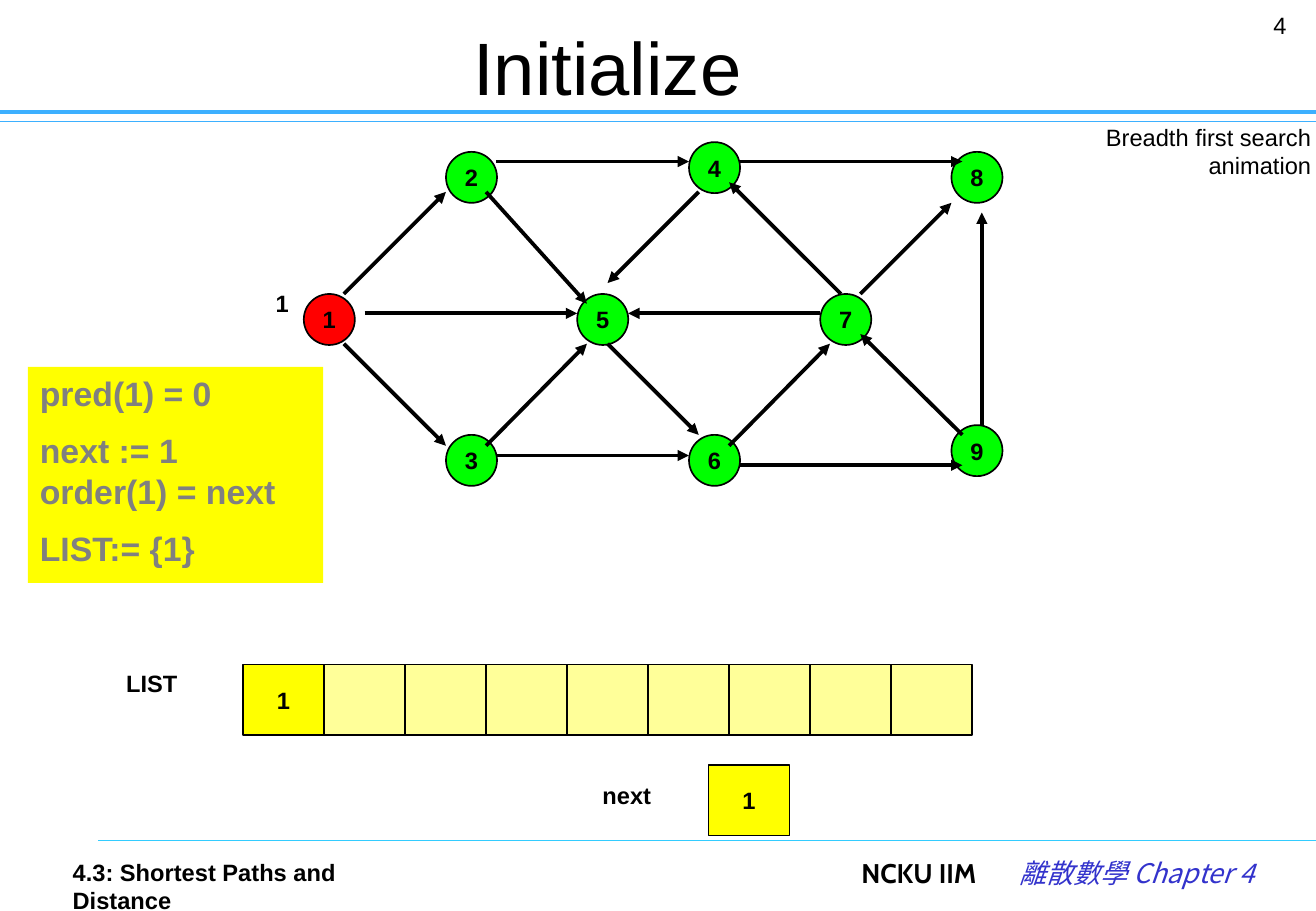
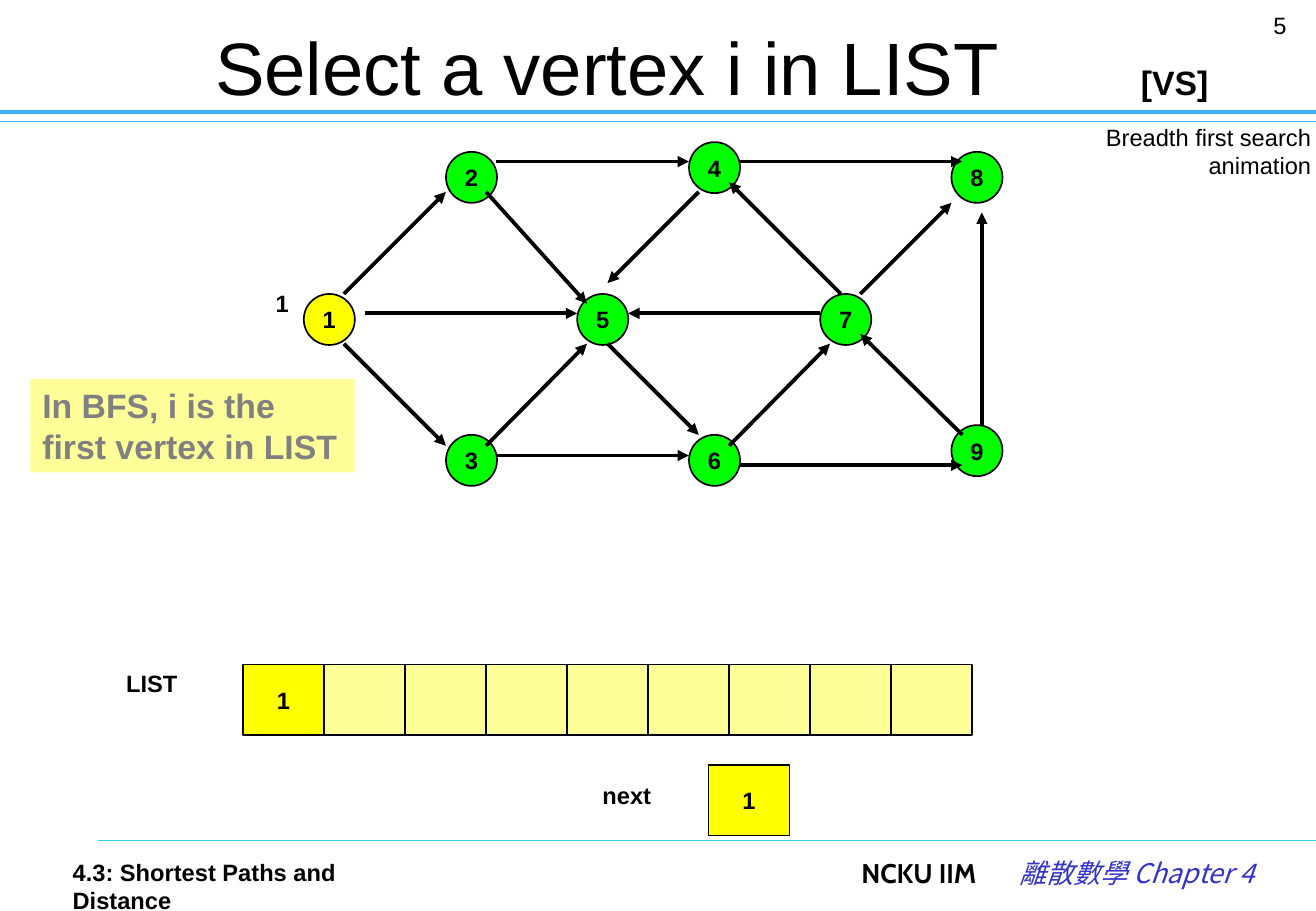
from lxml.etree import SubElement
from pptx import Presentation
from pptx.dml.color import RGBColor
from pptx.enum.shapes import MSO_CONNECTOR, MSO_SHAPE
from pptx.enum.text import MSO_ANCHOR, PP_ALIGN
from pptx.oxml.ns import qn
from pptx.util import Inches, Pt

BLACK, GRAY, YELLOW, PALE = "000000", "808080", "FFFF00", "FFFF99"
GREEN, RED, BLUE, SKY, CYAN = "00FF00", "FF0000", "3333CC", "3DB0FF", "33CCFF"
CELL_W, CELL_H, NODE_SIZE = 2 / 3, 0.58, 0.42

NODES = {
    1: (2.5, 2.42), 2: (3.67, 1.25), 3: (3.67, 3.58),
    4: (5.67, 1.17), 5: (4.75, 2.42), 6: (5.67, 3.58),
    7: (6.75, 2.42), 8: (7.83, 1.25), 9: (7.83, 3.5),
}
EDGES = [
    (2.83, 2.42, 3.67, 1.58), (2.83, 2.83, 3.67, 3.67),
    (3, 2.58, 4.75, 2.58), (4.08, 1.33, 5.67, 1.33),
    (4, 1.58, 4.83, 2.5), (4, 3.67, 4.83, 2.83),
    (4.08, 3.75, 5.67, 3.75), (5.75, 1.58, 5, 2.33),
    (6.08, 1.33, 7.92, 1.33), (5, 2.83, 5.75, 3.58),
    (6, 3.67, 6.83, 2.83), (6.08, 3.83, 7.92, 3.83),
    (6.92, 2.42, 6, 1.5), (6.75, 2.58, 5.17, 2.58),
    (7.08, 2.42, 7.83, 1.67), (7.92, 3.58, 7.08, 2.75),
    (8.08, 3.5, 8.08, 1.75),
]


def rgb(color):
    return RGBColor.from_string(color)


def write(tf, text, size=14, color=BLACK, bold=False, italic=False, font="Arial",
          align=PP_ALIGN.LEFT, anchor=MSO_ANCHOR.TOP, wrap=True, gap=0):
    tf.word_wrap = wrap
    tf.vertical_anchor = anchor
    for i, line in enumerate(text.split("\n")):
        p = tf.paragraphs[0] if i == 0 else tf.add_paragraph()
        p.text = line
        p.alignment = align
        if i:
            p.space_before = Pt(gap)
        for r in p.runs:
            r.font.size = Pt(size)
            r.font.bold = bold
            r.font.italic = italic
            r.font.name = font
            r.font.color.rgb = rgb(color)
            SubElement(r.font._element, qn("a:ea"), typeface=font)


class Deck:
    def __init__(self):
        self.prs = Presentation()
        self.prs.slide_width = Inches(10.83)
        self.prs.slide_height = Inches(7.5)
        self.s = None

    def text(self, x, y, w, h, text, **style):
        sp = self.s.shapes.add_textbox(Inches(x), Inches(y), Inches(w), Inches(h))
        write(sp.text_frame, text, **style)

    def shape(self, kind, x, y, w, h, fill, text="", line=BLACK, **style):
        sp = self.s.shapes.add_shape(kind, Inches(x), Inches(y), Inches(w), Inches(h))
        sp.shadow.inherit = False
        sp.fill.solid()
        sp.fill.fore_color.rgb = rgb(fill)
        if line:
            sp.line.color.rgb = rgb(line)
            sp.line.width = Pt(1)
        else:
            sp.line.fill.background()
        if text:
            write(sp.text_frame, text, **style)

    def label(self, kind, x, y, w, h, fill, text=""):
        self.shape(kind, x, y, w, h, fill, text, bold=True, wrap=False,
                   align=PP_ALIGN.CENTER, anchor=MSO_ANCHOR.MIDDLE)

    def line(self, x1, y1, x2, y2, color=BLACK, width=2.25, arrow=False):
        c = self.s.shapes.add_connector(
            MSO_CONNECTOR.STRAIGHT, Inches(x1), Inches(y1), Inches(x2), Inches(y2))
        c.line.color.rgb = rgb(color)
        c.line.width = Pt(width)
        if arrow:
            SubElement(c.line._get_or_add_ln(), qn("a:tailEnd"), type="triangle")
        SubElement(c._element.spPr, qn("a:effectLst"))

    def cell(self, x, y, fill, text=""):
        self.label(MSO_SHAPE.RECTANGLE, x, y, CELL_W, CELL_H, fill, text)

    def panel(self, x, y, w, h, fill, text):
        self.shape(MSO_SHAPE.RECTANGLE, x, y, w, h, fill, text, line=None,
                   size=20, color=GRAY, bold=True, gap=10)

    def slide(self, title, number):
        self.s = self.prs.slides.add_slide(self.prs.slide_layouts[6])
        self.line(0, 1, 10.83, 1, SKY, 0.75)
        self.line(0, 0.92, 10.83, 0.92, SKY, 2.5)
        self.line(0.81, 6.92, 10.83, 6.92, CYAN, 0.75)
        self.text(0.75, 0.25, 8.5, 0.58, title, size=44,
                  align=PP_ALIGN.CENTER, anchor=MSO_ANCHOR.MIDDLE)
        self.text(10.38, 0.04, 0.45, 0.42, str(number))
        self.text(8.33, 0.96, 2.56, 0.5, "Breadth first search animation",
                  align=PP_ALIGN.RIGHT)
        self.text(0.5, 7.01, 3, 0.33, "4.3: Shortest Paths and Distance", bold=True)
        self.text(6.99, 7, 1.2, 0.5, "NCKU IIM", size=16, font="Cabin", bold=True)
        self.text(8.1, 7, 2.32, 0.5, "離散數學 Chapter 4", size=16, color=BLUE,
                  font="Noto Sans CJK SC", italic=True, align=PP_ALIGN.RIGHT)

    def graph(self, start_fill):
        for n, (x, y) in NODES.items():
            fill = start_fill if n == 1 else GREEN
            self.label(MSO_SHAPE.OVAL, x, y, NODE_SIZE, NODE_SIZE, fill, str(n))
        for edge in EDGES:
            self.line(*edge, arrow=True)
        self.text(2.17, 2.33, 0.33, 0.34, "1", bold=True)

    def queue(self, items, size=9):
        self.text(0.94, 5.46, 0.62, 0.34, "LIST", bold=True, wrap=False)
        for i in range(size):
            used = i < len(items)
            self.cell(2 + i * CELL_W, 5.47, YELLOW if used else PALE,
                      items[i] if used else "")

    def counter(self, value):
        self.text(4.86, 6.38, 0.6, 0.34, "next", bold=True, wrap=False)
        self.cell(5.83, 6.3, YELLOW, value)


def main():
    deck = Deck()
    steps = [
        ("Initialize", RED, (0.23, 3.02, 2.43, 1.78, YELLOW,
                             "pred(1) = 0\nnext := 1\vorder(1) = next\nLIST:= {1}")),
        ("Select a vertex i in LIST", YELLOW, (0.25, 3.12, 2.67, 0.77, PALE,
                                               "In BFS, i is the first vertex in LIST")),
    ]
    for number, (title, start_fill, panel) in enumerate(steps, 4):
        deck.slide(title, number)
        deck.panel(*panel)
        deck.graph(start_fill)
        deck.queue(["1"])
        deck.counter("1")
    deck.text(9.29, 0.46, 0.76, 0.44, "[VS]", size=20, bold=True, wrap=False)
    deck.prs.save("out.pptx")


if __name__ == "__main__":
    main()
